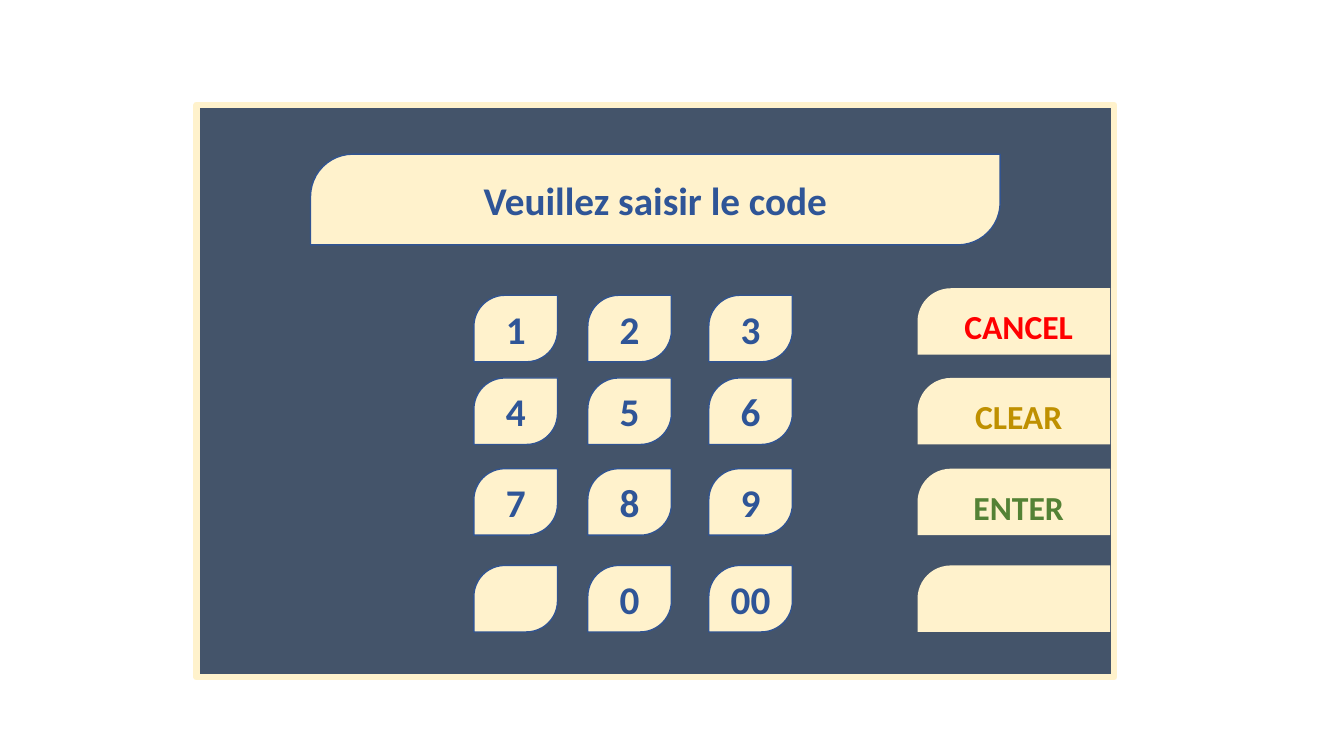
from pptx import Presentation
from pptx import util as u
from pptx.dml import color
from pptx.enum import shapes, text

PX = 9144
CREAM, SLATE, EDGE, BLUE = "FFF2CC", "44546A", "325491", "2F5597"
KEY_COLS = (470, 583, 703)
KEY_ROWS = (293, 375, 465, 561)
KEYS = (("1", "2", "3"), ("4", "5", "6"), ("7", "8", "9"), ("", "0", "00"))
COMMAND_ROWS = (286, 375, 465, 561)
COMMANDS = (("CANCEL", "FF0000"), ("CLEAR", "BF9000"), ("ENTER", "548235"), ("", BLUE))


def rgb(value):
    return color.RGBColor.from_string(value)


def add_panel(slide, kind, box, fill, edge=None, width=1, adj=()):
    sp = slide.shapes.add_shape(kind, *(u.Emu(v * PX) for v in box))
    sp.shadow.inherit = False
    for i, value in enumerate(adj):
        sp.adjustments[i] = value
    sp.fill.solid()
    sp.fill.fore_color.rgb = rgb(fill)
    if edge:
        sp.line.color.rgb = rgb(edge)
        sp.line.width = u.Pt(width)
    else:
        sp.line.fill.background()
    return sp


def add_label(sp, label, size, ink):
    if not label:
        return
    tf = sp.text_frame
    tf.word_wrap = True
    tf.vertical_anchor = text.MSO_ANCHOR.MIDDLE
    p = tf.paragraphs[0]
    p.alignment = text.PP_ALIGN.CENTER
    r = p.add_run()
    r.text = label
    for name, value in {"name": "Calibri", "size": u.Pt(size), "bold": True}.items():
        setattr(r.font, name, value)
    r.font.color.rgb = rgb(ink)


def add_key(slide, box, label):
    sp = add_panel(slide, shapes.MSO_SHAPE.ROUND_2_DIAG_RECTANGLE, box, CREAM, EDGE, adj=(0.467, 0))
    add_label(sp, label, 28, BLUE)


def add_command(slide, box, label, ink):
    sp = add_panel(slide, shapes.MSO_SHAPE.SNIP_ROUND_RECTANGLE, box, CREAM, adj=(0.5, 0))
    add_label(sp, label, 24, ink)


def main():
    prs = Presentation()
    prs.slide_width, prs.slide_height = u.Emu(1333 * PX), u.Emu(750 * PX)
    slide = prs.slides.add_slide(prs.slide_layouts[6])
    add_panel(slide, shapes.MSO_SHAPE.RECTANGLE, (195, 104, 910, 568), SLATE, CREAM, 4.5)
    for y, (label, ink) in zip(COMMAND_ROWS, COMMANDS):
        add_command(slide, (910, y, 191, 66), label, ink)
    add_key(slide, (308, 153, 684, 90), "Veuillez saisir le code")
    for y, labels in zip(KEY_ROWS, KEYS):
        for x, label in zip(KEY_COLS, labels):
            add_key(slide, (x, y, 83, 66), label)
    prs.save("out.pptx")


if __name__ == "__main__":
    main()
